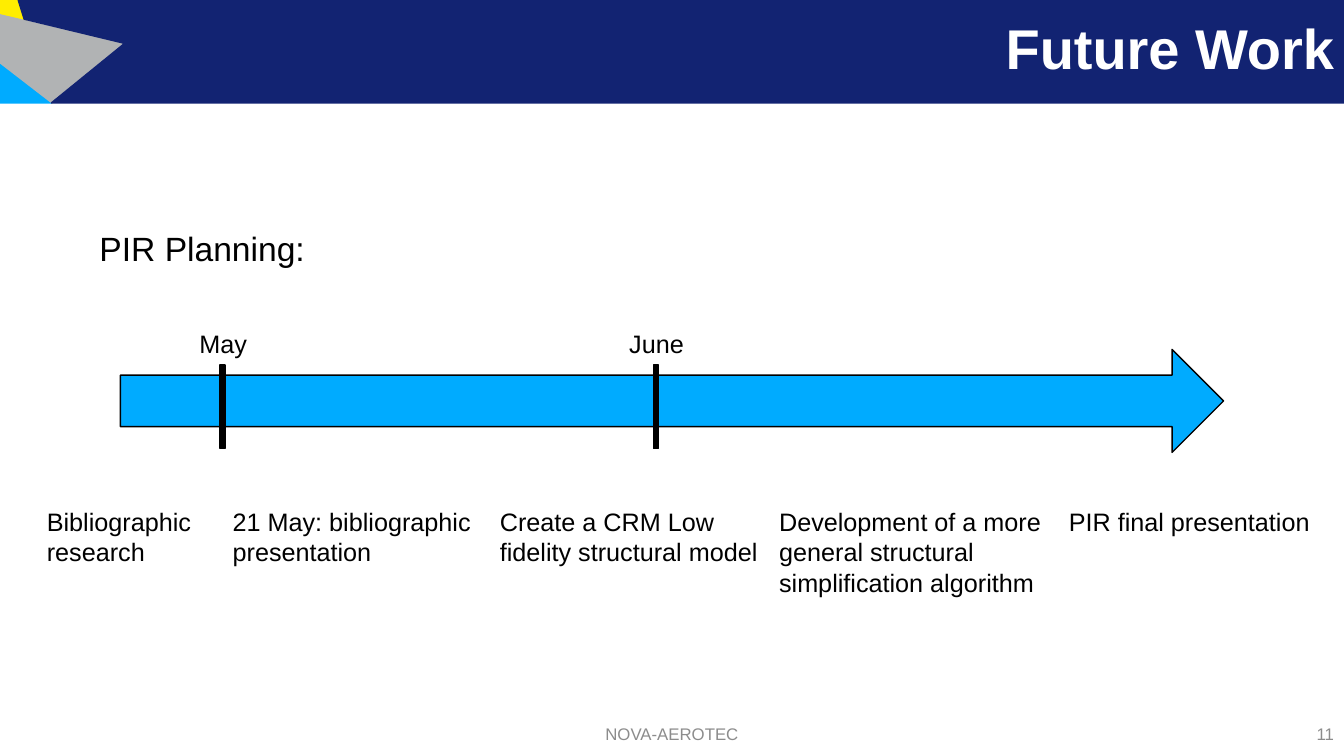
"""Builds the Future Work slide with the PIR planning timeline."""
from typing import NamedTuple

from pptx import Presentation
from pptx.dml.color import RGBColor
from pptx.enum import shapes, text
from pptx.util import Pt

WIDTH, HEIGHT = 960, 540
FONT = "Arial"
NAVY, SKY, YELLOW, SILVER = "122372", "00ABFF", "FFED00", "B1B3B4"
BLACK, WHITE, GREY = "000000", "FFFFFF", "8C8C8C"
LEFT, CENTER, RIGHT = text.PP_ALIGN.LEFT, text.PP_ALIGN.CENTER, text.PP_ALIGN.RIGHT
TOP, MIDDLE = text.MSO_ANCHOR.TOP, text.MSO_ANCHOR.MIDDLE


class Facet(NamedTuple):
    color: str
    points: list[tuple[float, float]]


class Label(NamedTuple):
    words: str
    left: float
    top: float
    width: float
    height: float
    size: float = 18
    color: str = BLACK
    align: text.PP_ALIGN = LEFT
    anchor: text.MSO_ANCHOR = TOP
    bold: bool = False
    spacing: float = 1.0


class Month(NamedTuple):
    name: str
    center: float


class Step(NamedTuple):
    words: str
    left: float
    width: float
    lines: int


FACETS = [
    Facet(YELLOW, [(-0.5, 0), (0, 14.4), (20, 20), (16, 0)]),
    Facet(SKY, [(0.5, 43.5), (0, 73.5), (36.7, 73.5)]),
    Facet(SILVER, [(0, 10.6), (0, 44.8), (37.2, 73.5), (88.3, 31.4)]),
    Facet(NAVY, [(36.7, 73.5), (89, 31), (17.3, 13.7), (13, 0), (WIDTH, 0), (WIDTH, 73.5)]),
]
LABELS = [
    Label("Future Work", 51.6, 0, 908.4, 73.5, 40, WHITE, RIGHT, MIDDLE, True, 0.9),
    Label("NOVA-AEROTEC", 318, 509.8, 324, 28.8, 12, GREY, CENTER, MIDDLE),
    Label("11", 744, 509.8, 216, 28.8, 12, GREY, RIGHT, MIDDLE),
    Label("PIR Planning:", 64, 159.1, 714, 36, 24),
]
MONTHS = [Month("May", 159), Month("June", 468.5)]
STEPS = [
    Step("Bibliographic research", 26.4, 119, 2),
    Step("21 May: bibliographic presentation", 159.1, 266, 2),
    Step("Create a CRM Low fidelity structural model", 350, 216, 2),
    Step("Development of a more general structural simplification algorithm", 549.4, 229, 3),
    Step("PIR final presentation", 756.4, 216, 1),
]


def rgb(color: str) -> RGBColor:
    return RGBColor.from_string(color)


def paint(sp, fill: str, line: str) -> None:
    sp.shadow.inherit = False
    sp.fill.solid()
    sp.fill.fore_color.rgb = rgb(fill)
    sp.line.color.rgb = rgb(line)
    sp.line.width = Pt(1)


def add_facet(s, facet: Facet) -> None:
    points = [(Pt(x), Pt(y)) for x, y in facet.points]
    builder = s.shapes.build_freeform(*points[0])
    builder.add_line_segments(points[1:], close=True)
    paint(builder.convert_to_shape(), facet.color, facet.color)


def add_block(s, kind: shapes.MSO_SHAPE, left: float, top: float,
              width: float, height: float, fill: str) -> None:
    sp = s.shapes.add_shape(kind, Pt(left), Pt(top), Pt(width), Pt(height))
    paint(sp, fill, BLACK)


def add_label(s, label: Label) -> None:
    sp = s.shapes.add_textbox(Pt(label.left), Pt(label.top), Pt(label.width), Pt(label.height))
    tf = sp.text_frame
    tf.word_wrap = True
    tf.vertical_anchor = label.anchor
    p = tf.paragraphs[0]
    p.alignment = label.align
    p.line_spacing = label.spacing
    r = p.add_run()
    r.text = label.words
    r.font.name = FONT
    r.font.size = Pt(label.size)
    r.font.bold = label.bold
    r.font.color.rgb = rgb(label.color)


def add_month(s, month: Month) -> None:
    tick, box = 3.4, 72
    add_block(s, shapes.MSO_SHAPE.RECTANGLE, month.center - tick / 2, 260.8, tick, 59.6, BLACK)
    add_label(s, Label(month.name, month.center + 0.5 - box / 2, 230.7, box, 29, align=CENTER))


def add_step(s, step: Step) -> None:
    add_label(s, Label(step.words, step.left, 358.2, step.width, 7.4 + 21.6 * step.lines))


def main() -> None:
    prs = Presentation()
    prs.slide_width, prs.slide_height = Pt(WIDTH), Pt(HEIGHT)
    s = prs.slides.add_slide(prs.slide_layouts[6])
    for facet in FACETS:
        add_facet(s, facet)
    for label in LABELS:
        add_label(s, label)
    add_block(s, shapes.MSO_SHAPE.RIGHT_ARROW, 86, 249.6, 788, 73.6, SKY)
    for month in MONTHS:
        add_month(s, month)
    for step in STEPS:
        add_step(s, step)
    prs.save("out.pptx")


if __name__ == "__main__":
    main()
